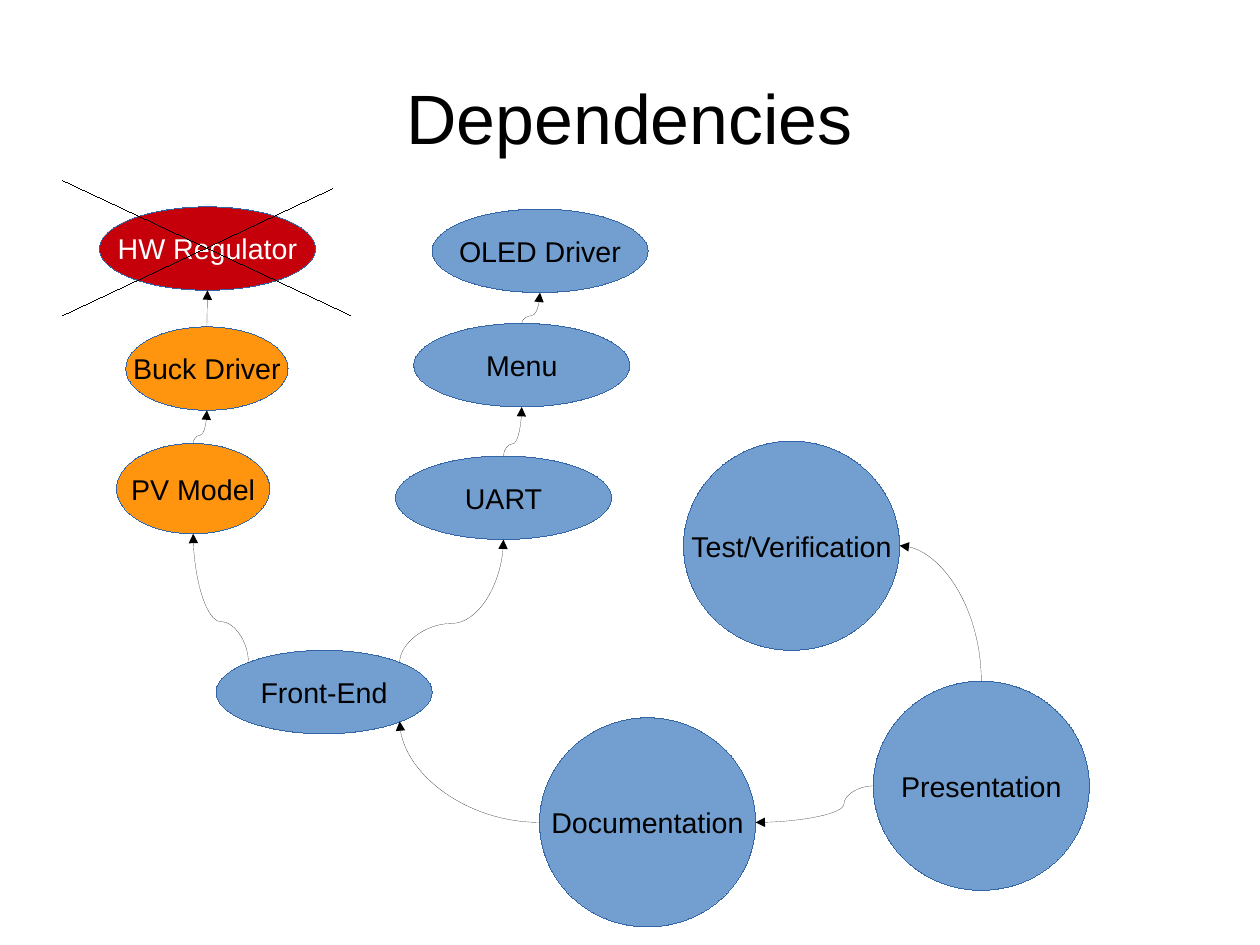
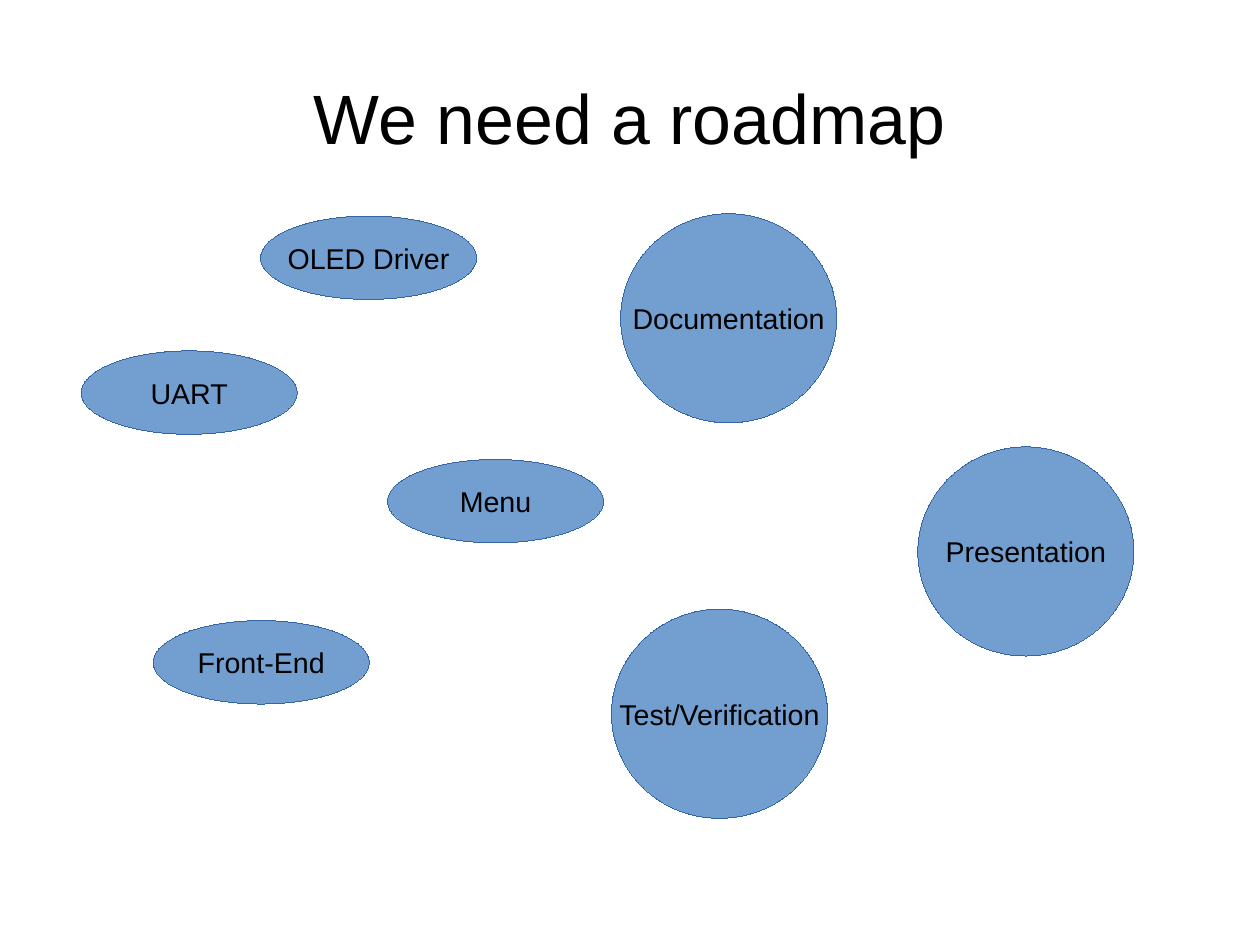
from lxml import etree
from pptx import Presentation
from pptx.dml.color import RGBColor
from pptx.enum import shapes, text
from pptx.oxml.ns import qn
from pptx.util import Inches, Pt

BLACK = RGBColor(0x00, 0x00, 0x00)
WHITE = RGBColor(0xFF, 0xFF, 0xFF)
BLUE = RGBColor(0x72, 0x9F, 0xCF)
NAVY = RGBColor(0x34, 0x65, 0xA4)
RED = RGBColor(0xC5, 0x00, 0x0B)
ORANGE = RGBColor(0xFF, 0x95, 0x0E)
FONT = "Arial"

WIDE = (1.89, 0.73)
ROUND = (1.89, 1.83)

TOP, LEFT, BOTTOM, RIGHT = (0.5, 0), (0, 0.5), (0.5, 1), (1, 0.5)
NEAR, FAR = 0.15, 0.85
UP, BACK = 270, 180

CHAIN = {
    "Documentation": (4.72, 6.28, ROUND),
    "Front-End": (1.89, 5.69, WIDE),
    "UART": (3.46, 3.99, WIDE),
    "OLED Driver": (3.78, 1.83, WIDE),
    "Menu": (3.62, 2.83, WIDE),
    "Presentation": (7.64, 5.96, ROUND),
    "Test/Verification": (5.98, 3.86, ROUND),
    "HW Regulator": (0.87, 1.81, WIDE, RED, WHITE),
    "PV Model": (1.02, 3.88, (1.34, 0.79), ORANGE),
    "Buck Driver": (1.1, 2.86, (1.42, 0.73), ORANGE),
}
LINKS = [
    ("UART", TOP, "Menu", BOTTOM, UP, 0.25),
    ("Menu", TOP, "OLED Driver", BOTTOM, UP, 0.25),
    ("Front-End", (NEAR, NEAR), "PV Model", BOTTOM, UP, 0.32),
    ("Front-End", (FAR, NEAR), "UART", BOTTOM, UP, 0.32),
    ("Documentation", LEFT, "Front-End", (FAR, FAR), BACK, None),
    ("Presentation", LEFT, "Documentation", RIGHT, BACK, 0.25),
    ("Presentation", TOP, "Test/Verification", RIGHT, UP, None),
    ("PV Model", TOP, "Buck Driver", BOTTOM, UP, 0.25),
]
CROSS = [(0.55, 2.76, 2.91, 1.65), (0.55, 1.58, 3.07, 2.76)]
ROADMAP = {
    "Documentation": (5.43, 1.87, ROUND),
    "Front-End": (1.34, 5.43, WIDE),
    "UART": (0.71, 3.07, WIDE),
    "OLED Driver": (2.28, 1.89, WIDE),
    "Menu": (3.39, 4.02, WIDE),
    "Presentation": (8.03, 3.91, ROUND),
    "Test/Verification": (5.35, 5.33, ROUND),
}


def label(shape, words, size, color):
    frame = shape.text_frame
    frame.vertical_anchor = text.MSO_ANCHOR.MIDDLE
    para = frame.paragraphs[0]
    para.text = words
    para.alignment = text.PP_ALIGN.CENTER
    para.font.name = FONT
    para.font.size = Pt(size)
    para.font.color.rgb = color
    return frame


def start(deck, words):
    slide = deck.slides.add_slide(deck.slide_layouts[6])
    box = slide.shapes.add_textbox(Inches(0.55), Inches(0.33), Inches(9.92), Inches(1.38))
    frame = label(box, words, 44, BLACK)
    frame.word_wrap = True
    frame.margin_left = frame.margin_right = frame.margin_top = frame.margin_bottom = 0
    return slide


def thin(shape, color):
    shape.line.color.rgb = color
    edge = shape._element.spPr.find(qn("a:ln"))
    edge.set("w", "0")
    return edge


def node(slide, words, left, top, size, fill=BLUE, color=BLACK):
    oval = slide.shapes.add_shape(
        shapes.MSO_SHAPE.OVAL, Inches(left), Inches(top), *map(Inches, size))
    oval.shadow.inherit = False
    oval.fill.solid()
    oval.fill.fore_color.rgb = fill
    thin(oval, NAVY)
    label(oval, words, 18, color).word_wrap = False


def stroke(slide, kind, ends, arrow=False):
    line = slide.shapes.add_connector(kind, *map(Inches, ends))
    edge = thin(line, BLACK)
    if arrow:
        etree.SubElement(edge, qn("a:tailEnd"), type="triangle")
    etree.SubElement(line._element.spPr, qn("a:effectLst"))
    return line


def curve(slide, ends, turn, bend):
    ax, ay, bx, by = ends
    wide, high = abs(bx - ax), abs(by - ay)
    flip = by > ay
    if turn == UP:
        wide, high, flip = high, wide, bx < ax
    left, top = (ax + bx - wide) / 2, (ay + by - high) / 2
    line = stroke(slide, shapes.MSO_CONNECTOR.CURVE,
                  (left, top, left + wide, top + high), True)
    props = line._element.spPr
    frame = props.find(qn("a:xfrm"))
    frame.set("rot", str(turn * 60000))
    if flip:
        frame.set("flipV", "1")
    geom = props.find(qn("a:prstGeom"))
    if bend is None:
        geom.set("prst", "curvedConnector2")
    else:
        etree.SubElement(geom.find(qn("a:avLst")), qn("a:gd"),
                         name="adj1", fmla=f"val {round(bend * 100000)}")


def spot(nodes, name, side):
    left, top, size = nodes[name][:3]
    return left + side[0] * size[0], top + side[1] * size[1]


def graph(slide, nodes):
    for name, place in nodes.items():
        node(slide, name, *place)


def depend(deck):
    slide = start(deck, "Dependencies")
    graph(slide, CHAIN)
    for tail, out, head, into, turn, bend in LINKS:
        curve(slide, spot(CHAIN, tail, out) + spot(CHAIN, head, into), turn, bend)
    straight = shapes.MSO_CONNECTOR.STRAIGHT
    stroke(slide, straight, spot(CHAIN, "Buck Driver", TOP)
           + spot(CHAIN, "HW Regulator", BOTTOM), True)
    for ends in CROSS:
        stroke(slide, straight, ends)


def roadmap(deck):
    graph(start(deck, "We need a roadmap"), ROADMAP)


def main():
    deck = Presentation()
    deck.slide_width = Inches(280 / 25.4)
    deck.slide_height = Inches(210 / 25.4)
    depend(deck)
    roadmap(deck)
    deck.save("out.pptx")


if __name__ == "__main__":
    main()
